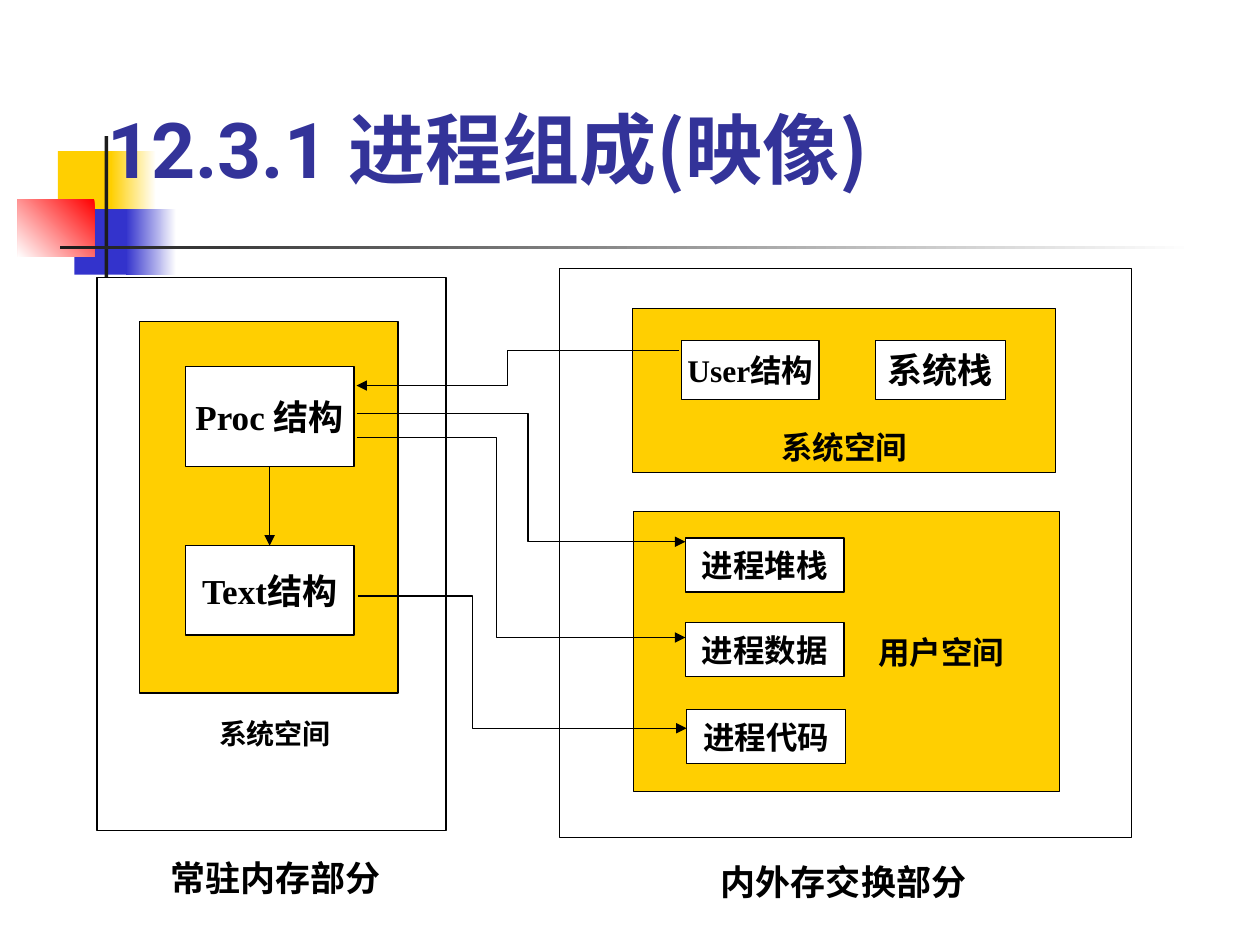
from typing import NamedTuple

import pptx
import pptx.dml.color
import pptx.enum.shapes
import pptx.enum.text
import pptx.oxml
import pptx.oxml.ns
import pptx.util

Inches = pptx.util.Inches
Pt = pptx.util.Pt
Shape = pptx.enum.shapes.MSO_SHAPE
Anchor = pptx.enum.text.MSO_ANCHOR
Align = pptx.enum.text.PP_ALIGN

COLORS = {
    "white": "FFFFFF",
    "black": "000000",
    "gold": "FFCF01",
    "blue": "3333CC",
    "red": "FF0000",
    "dark": "1C1C1C",
    "title": "333399",
}
SERIF = "Times New Roman"
CJK = "Noto Sans CJK SC"


class Deco(NamedTuple):
    at: tuple
    fill: str
    fade: str = ""
    angle: int = 180


class Box(NamedTuple):
    at: tuple
    fill: str = "white"
    text: str = ""
    size: int = 18
    anchor: Anchor = Anchor.MIDDLE
    inset: float = 0.1


class Label(NamedTuple):
    at: tuple
    text: str
    size: int = 20
    align: Align = Align.CENTER


class Route(NamedTuple):
    start: tuple
    bend: float
    end: tuple


DECOS = [
    Deco((0.46, 1.2, 0.48, 0.52), "gold"),
    Deco((0.88, 1.2, 0.36, 0.52), "white", "gold"),
    Deco((0.59, 1.66, 0.46, 0.52), "blue"),
    Deco((1, 1.66, 0.4, 0.52), "white", "blue"),
    Deco((0.14, 1.58, 0.61, 0.46), "red", "white", 225),
    Deco((0.83, 1.08, 0.03, 1.15), "dark"),
    Deco((0.48, 1.95, 9, 0.03), "white", "dark"),
]
PANELS = [
    Box((0.77, 2.2, 2.77, 4.39)),
    Box((4.44, 2.13, 4.54, 4.52)),
    Box((1.11, 2.55, 2.05, 2.95), "gold"),
    Box((5.02, 2.45, 3.36, 1.3), "gold", "系统空间", anchor=Anchor.BOTTOM),
    Box((5.03, 4.06, 3.38, 2.22), "gold", "用户空间", inset=1.6),
    Box((5.41, 2.7, 1.09, 0.47), text="User结构"),
    Box((6.95, 2.7, 1.03, 0.47), text="系统栈", size=20),
    Box((5.44, 4.27, 1.26, 0.43), text="进程堆栈"),
    Box((5.44, 4.94, 1.26, 0.43), text="进程数据"),
    Box((5.45, 5.63, 1.26, 0.43), text="进程代码"),
]
PROC = Box((1.47, 2.91, 1.34, 0.79), text="Proc 结构", size=20)
TEXT = Box((1.47, 4.33, 1.34, 0.71), text="Text结构", size=20)
LABELS = [
    Label((1.03, 6.75, 2.31, 0.44), "常驻内存部分"),
    Label((5.54, 6.78, 2.31, 0.44), "内外存交换部分"),
    Label((1.64, 5.64, 1.11, 0.37), "系统空间", 16, Align.LEFT),
]
ROUTES = [
    Route((5.39, 2.78), 4.03, (2.83, 3.06)),
    Route((2.83, 3.28), 4.19, (5.44, 4.3)),
    Route((2.83, 3.47), 3.94, (5.44, 5.06)),
    Route((2.84, 4.73), 3.75, (5.45, 5.78)),
]


def rgb(name: str):
    return pptx.dml.color.RGBColor.from_string(COLORS[name])


def inches(values: tuple) -> list:
    return [Inches(value) for value in values]


def write(para, text: str, *, size: int, font=SERIF, color="black",
          align=Align.CENTER) -> None:
    """Add one bold run to a paragraph."""
    para.alignment = align
    run = para.add_run()
    run.text = text
    run.font.name = font
    run.font.size = Pt(size)
    run.font.bold = True
    run.font.color.rgb = rgb(color)
    east = pptx.oxml.parse_xml(
        f'<a:ea {pptx.oxml.ns.nsdecls("a")} typeface="{CJK}"/>')
    run.font._element.find(pptx.oxml.ns.qn("a:latin")).addnext(east)


def stroke(line, arrow: bool = False) -> None:
    line.color.rgb = rgb("black")
    line.width = Pt(0.75)
    if arrow:
        line._get_or_add_ln().append(pptx.oxml.parse_xml(
            f'<a:tailEnd {pptx.oxml.ns.nsdecls("a")} type="triangle"/>'))


def add_deco(shapes, deco: Deco) -> None:
    shape = shapes.add_shape(Shape.RECTANGLE, *inches(deco.at))
    shape.shadow.inherit = False
    shape.line.fill.background()
    if deco.fade:
        shape.fill.gradient()
        shape.fill.gradient_angle = deco.angle
        for stop, name in zip(shape.fill.gradient_stops,
                              (deco.fill, deco.fade)):
            stop.color.rgb = rgb(name)
    else:
        shape.fill.solid()
        shape.fill.fore_color.rgb = rgb(deco.fill)


def add_box(shapes, box: Box):
    shape = shapes.add_shape(Shape.RECTANGLE, *inches(box.at))
    shape.shadow.inherit = False
    shape.fill.solid()
    shape.fill.fore_color.rgb = rgb(box.fill)
    stroke(shape.line)
    if box.text:
        frame = shape.text_frame
        frame.word_wrap = box.fill == "gold"
        frame.vertical_anchor = box.anchor
        frame.margin_left = Inches(box.inset)
        write(frame.paragraphs[0], box.text, size=box.size)
    return shape


def add_label(shapes, label: Label) -> None:
    frame = shapes.add_textbox(*inches(label.at)).text_frame
    frame.word_wrap = True
    write(frame.paragraphs[0], label.text, size=label.size,
          align=label.align)


def add_route(shapes, route: Route) -> None:
    """Draw an arrow that runs across, down at the bend, and across."""
    turns = [(route.bend, route.start[1]), (route.bend, route.end[1]),
             route.end]
    pen = shapes.build_freeform(*inches(route.start))
    pen.add_line_segments([inches(turn) for turn in turns], close=False)
    shape = pen.convert_to_shape()
    shape.shadow.inherit = False
    shape.fill.background()
    stroke(shape.line, arrow=True)


def add_link(shapes, upper, lower) -> None:
    link = shapes.add_connector(
        pptx.enum.shapes.MSO_CONNECTOR.STRAIGHT, 0, 0, 0, 0)
    link.begin_connect(upper, 2)
    link.end_connect(lower, 0)
    stroke(link.line, arrow=True)
    link._element.spPr.append(pptx.oxml.parse_xml(
        f'<a:effectLst {pptx.oxml.ns.nsdecls("a")}/>'))


def set_title(shapes) -> None:
    title = shapes.title
    title.left, title.top, title.width, title.height = inches(
        (0.75, 0.34, 8.5, 1.25))
    frame = title.text_frame
    frame.auto_size = pptx.enum.text.MSO_AUTO_SIZE.NONE
    frame.vertical_anchor = Anchor.BOTTOM
    for text, font in (("12.3.1 进程组成", "Roboto"), ("(映像)", CJK)):
        write(frame.paragraphs[0], text, size=44, font=font,
              color="title", align=Align.LEFT)
    shapes.element.append(title.element)  # bring in front of the decoration


def main() -> None:
    deck = pptx.Presentation()
    deck.slide_width, deck.slide_height = Inches(10), Inches(7.5)
    shapes = deck.slides.add_slide(deck.slide_layouts[5]).shapes
    for deco in DECOS:
        add_deco(shapes, deco)
    set_title(shapes)
    for panel in PANELS:
        add_box(shapes, panel)
    proc, text = add_box(shapes, PROC), add_box(shapes, TEXT)
    for label in LABELS:
        add_label(shapes, label)
    for route in ROUTES:
        add_route(shapes, route)
    add_link(shapes, proc, text)
    deck.save("out.pptx")


if __name__ == "__main__":
    main()
